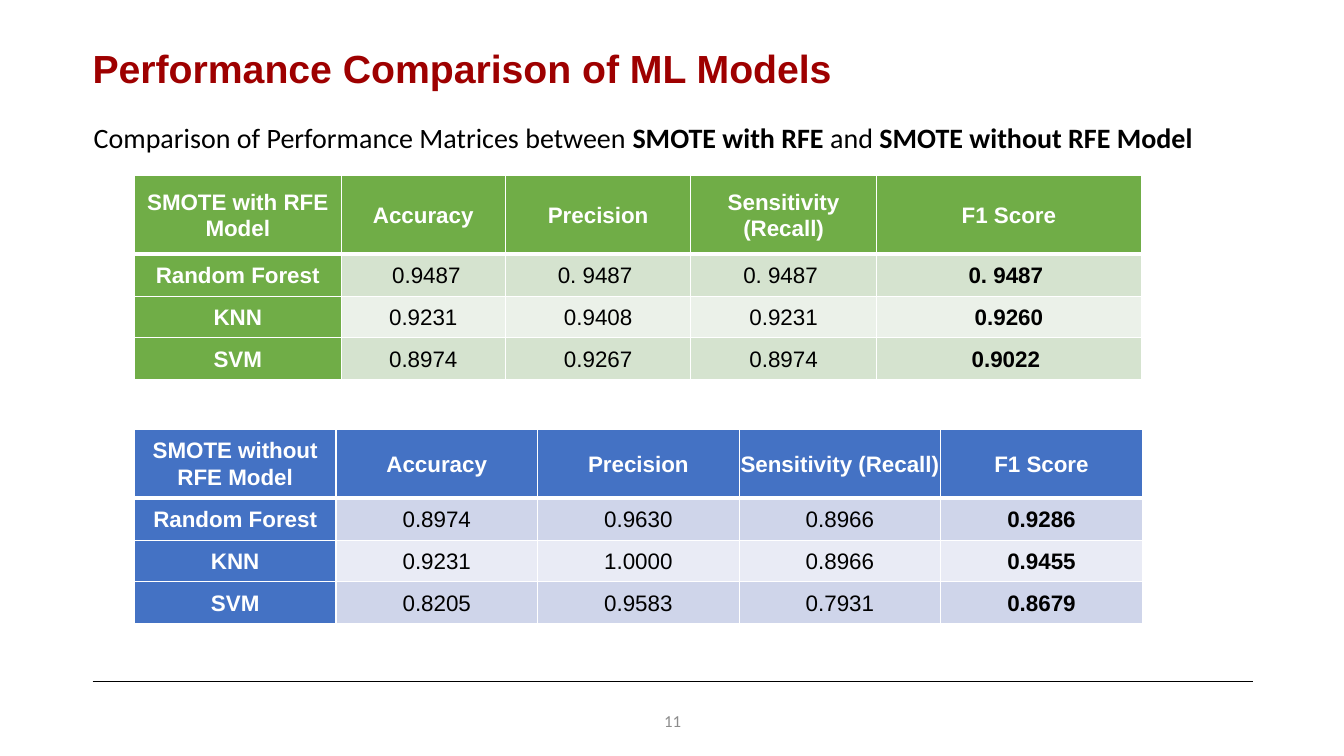
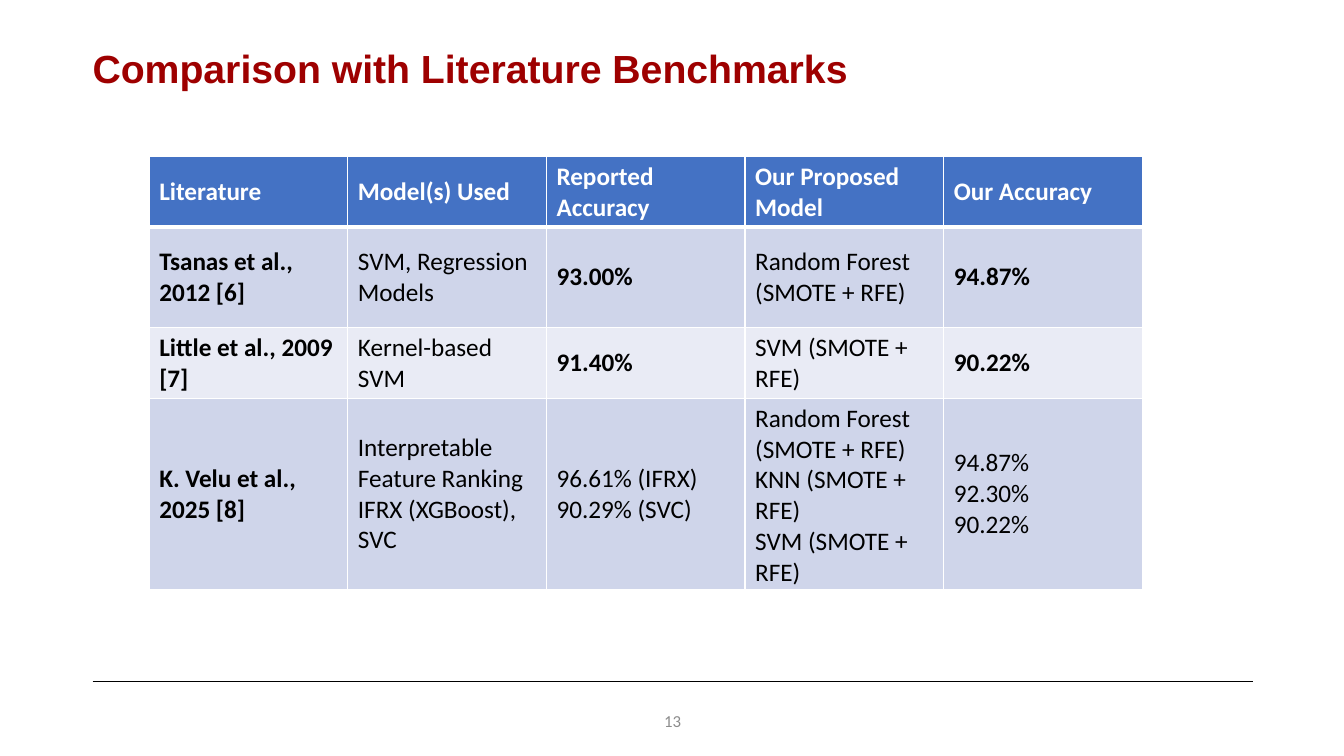
import pptx
import pptx.dml.color
import pptx.enum.shapes
import pptx.enum.text
import pptx.oxml
import pptx.oxml.ns
import pptx.util

PP_ALIGN = pptx.enum.text.PP_ALIGN
MIDDLE = pptx.enum.text.MSO_ANCHOR.MIDDLE
Pt = pptx.util.Pt

SLIDE_WIDTH = pptx.util.Inches(13.33)
SLIDE_HEIGHT = pptx.util.Inches(7.5)
BLANK_LAYOUT = 6

COLORS = {
    "title": "9E0000",
    "text": "000000",
    "page": "8C8C8C",
    "white": "FFFFFF",
    "blue": "4472C4",
    "blue odd": "CFD5EA",
    "blue even": "E9EBF5",
    "green": "70AD47",
    "green odd": "D5E3CF",
    "green even": "EBF1E9",
}

WITH_RFE = [
    ["SMOTE with RFE Model", "Accuracy", "Precision", "Sensitivity (Recall)", "F1 Score"],
    ["Random Forest", " 0.9487", "0. 9487 ", "0. 9487 ", "0. 9487 "],
    ["KNN", "0.9231", " 0.9408 ", "0.9231", " 0.9260 "],
    ["SVM", "0.8974", "0.9267", "0.8974", "0.9022 "],
]
WITHOUT_RFE = [
    ["SMOTE without RFE Model", "Accuracy", "Precision", "Sensitivity (Recall)", "F1 Score"],
    ["Random Forest", "0.8974", "0.9630", "0.8966", "0.9286"],
    ["KNN", "0.9231", "1.0000", "0.8966", "0.9455"],
    ["SVM", "0.8205", "0.9583", "0.7931", "0.8679"],
]
LITERATURE = [
    ["Literature", "Model(s) Used", "Reported Accuracy", "Our Proposed Model", "Our Accuracy"],
    ["Tsanas et al., 2012 [6]", "SVM, Regression Models", "93.00%",
     "Random Forest (SMOTE + RFE)", "94.87%"],
    ["Little et al., 2009 [7]", "Kernel-based SVM", "91.40%", "SVM (SMOTE + RFE)", "90.22%"],
    ["K. Velu et al., 2025 [8]", "Interpretable Feature Ranking IFRX (XGBoost), SVC",
     "96.61% (IFRX)\n90.29% (SVC)",
     "Random Forest (SMOTE + RFE)\nKNN (SMOTE + RFE)\nSVM (SMOTE + RFE)",
     "94.87%\n92.30%\n90.22%"],
]


def across(percent):
    return round(SLIDE_WIDTH * percent / 100)


def down(percent):
    return round(SLIDE_HEIGHT * percent / 100)


def rgb(color):
    return pptx.dml.color.RGBColor.from_string(COLORS[color])


def format_run(run, size, font, color, bold=False):
    run.font.size = Pt(size)
    run.font.name = font
    run.font.color.rgb = rgb(color)
    run.font.bold = bold


def add_text(slide, left, top, width, height, pieces, size, font, color):
    frame = slide.shapes.add_textbox(
        across(left), down(top), across(width), down(height)).text_frame
    frame.word_wrap = True
    for words, bold in pieces:
        run = frame.paragraphs[0].add_run()
        run.text = words
        format_run(run, size, font, color, bold)
    return frame


def add_footer_rule(slide):
    rule = slide.shapes.add_connector(
        pptx.enum.shapes.MSO_CONNECTOR.STRAIGHT,
        across(6.9), down(90.13), across(93.2), down(90.13))
    rule.line.color.rgb = rgb("text")
    rule.line.width = Pt(0.25)
    pptx.oxml.ns.qn("a:effectLst")
    rule._element.spPr.append(
        pptx.oxml.parse_xml(f'<a:effectLst {pptx.oxml.ns.nsdecls("a")}/>'))


def add_framed_slide(deck, title, page):
    slide = deck.slides.add_slide(deck.slide_layouts[BLANK_LAYOUT])
    add_footer_rule(slide)
    add_text(slide, 6.15, 5.2, 87.77, 7.6, [(title, True)], 28, "Arial", "title")
    number = add_text(slide, 33.16, 92.67, 33.76, 5.33, [(page, False)], 12, "Calibri", "page")
    number.vertical_anchor = MIDDLE
    number.paragraphs[0].alignment = PP_ALIGN.CENTER
    return slide


def add_borders(cell, bottom, top):
    properties = cell._tc.get_or_add_tcPr()
    for side, points in (("L", 1), ("R", 1), ("T", top), ("B", bottom)):
        properties.append(pptx.oxml.parse_xml(
            f'<a:ln{side} {pptx.oxml.ns.nsdecls("a")} w="{Pt(points)}">'
            f'<a:solidFill><a:srgbClr val="{COLORS["white"]}"/></a:solidFill>'
            f'</a:ln{side}>'))


def add_grid(slide, left, top, columns, rows, content, theme, style_text, colored_labels):
    table = slide.shapes.add_table(
        len(rows), len(columns), across(left), down(top),
        across(sum(columns)), down(sum(rows))).table
    for column, width in zip(table.columns, columns):
        column.width = across(width)
    for row, height in zip(table.rows, rows):
        row.height = down(height)
    for r, line in enumerate(content):
        for c, words in enumerate(line):
            cell = table.cell(r, c)
            add_borders(cell, bottom=3 if r == 0 else 1, top=3 if r == 1 else 1)
            strong = r == 0 or (colored_labels and c == 0)
            band = theme if strong else f"{theme} {'odd' if r % 2 else 'even'}"
            cell.fill.solid()
            cell.fill.fore_color.rgb = rgb(band)
            cell.vertical_anchor = MIDDLE
            cell.text_frame.paragraphs[0].text = words
            style_text(cell, r, c, "white" if strong else "text")


def style_score(cell, r, c, color):
    cell.margin_left = cell.margin_right = pptx.util.Inches(0.01)
    cell.margin_top = cell.margin_bottom = pptx.util.Inches(0.01)
    paragraph = cell.text_frame.paragraphs[0]
    paragraph.alignment = PP_ALIGN.CENTER
    paragraph.line_spacing = 1.07
    paragraph.space_after = Pt(8)
    for run in paragraph.runs:
        format_run(run, 16, "Arial", color, r == 0 or c in (0, 4))


def style_benchmark(cell, r, c, color):
    bold = r == 0 or c == 0 or (r < 3 and c in (2, 4))
    for run in cell.text_frame.paragraphs[0].runs:
        format_run(run, 18, "Calibri", color, bold)


def add_model_comparison(deck):
    slide = add_framed_slide(deck, "Performance Comparison of ML Models", "11")
    summary = [
        ("Comparison of Performance Matrices between ", False),
        ("SMOTE with RFE ", True),
        ("and", False),
        (" SMOTE without RFE Model", True),
    ]
    add_text(slide, 6.23, 15.33, 86.65, 5.87, summary, 20, "Calibri", "text")
    model_rows = [5.6, 5.47, 5.6]
    add_grid(slide, 10, 23.2, [15.38, 12.23, 13.8, 13.8, 19.73], [10.4] + model_rows,
             WITH_RFE, "green", style_score, True)
    add_grid(slide, 10, 56.8, [15] * 5, [9.07] + model_rows,
             WITHOUT_RFE, "blue", style_score, True)


def add_literature_comparison(deck):
    slide = add_framed_slide(deck, "Comparison with Literature Benchmarks", "13")
    add_grid(slide, 11.1, 20.67, [14.78] * 5, [9.33, 13.33, 9.33, 25.33],
             LITERATURE, "blue", style_benchmark, False)


def main():
    deck = pptx.Presentation()
    deck.slide_width = SLIDE_WIDTH
    deck.slide_height = SLIDE_HEIGHT
    add_model_comparison(deck)
    add_literature_comparison(deck)
    deck.save("out.pptx")


if __name__ == "__main__":
    main()
